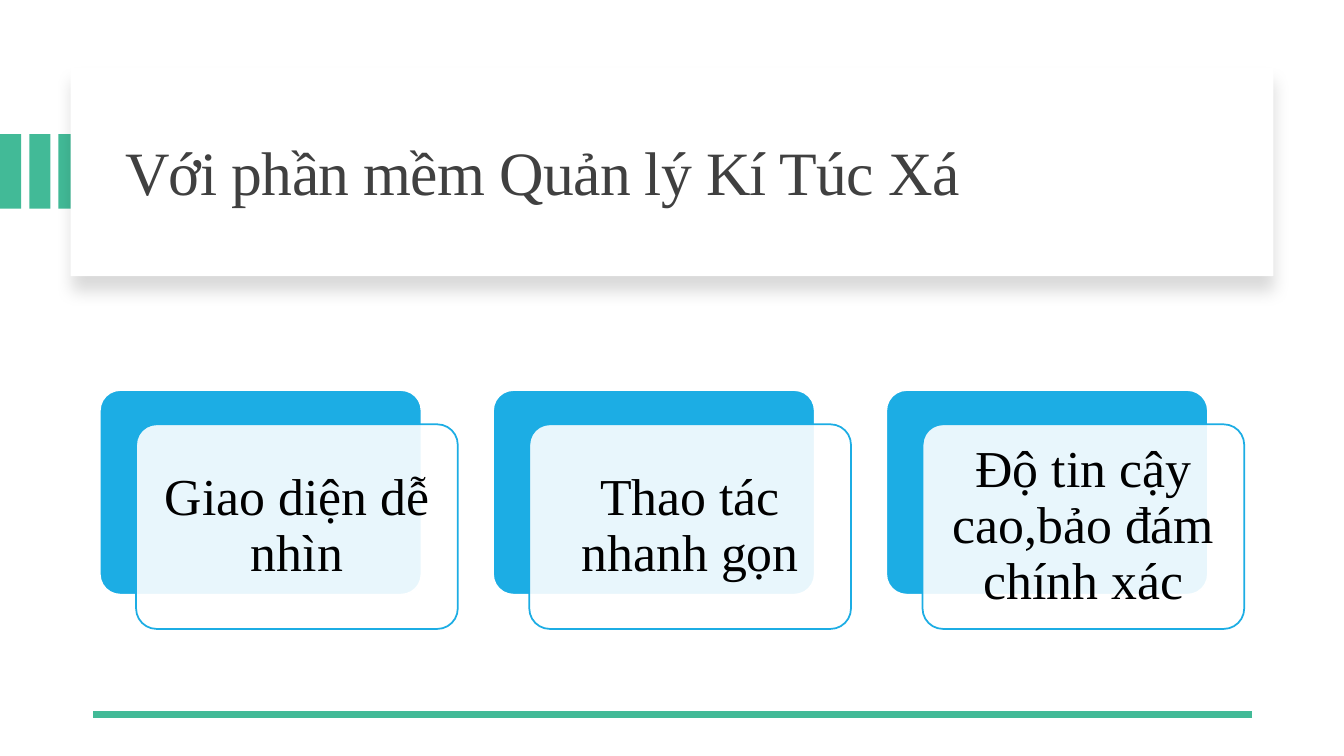
from dataclasses import dataclass

from lxml import etree
from pptx import Presentation
from pptx.dml.color import RGBColor
from pptx.enum.shapes import MSO_CONNECTOR, MSO_SHAPE
from pptx.enum.text import MSO_ANCHOR, PP_ALIGN
from pptx.oxml import parse_xml
from pptx.oxml.ns import nsdecls, qn
from pptx.shapes.autoshape import Shape
from pptx.slide import Slide
from pptx.text.text import TextFrame
from pptx.util import Inches, Pt

RECTANGLE = MSO_SHAPE.RECTANGLE
ROUNDED = MSO_SHAPE.ROUNDED_RECTANGLE
STRAIGHT = MSO_CONNECTOR.STRAIGHT
MIDDLE = MSO_ANCHOR.MIDDLE
LEFT, CENTER = PP_ALIGN.LEFT, PP_ALIGN.CENTER

WHITE = RGBColor(0xFF, 0xFF, 0xFF)
BLACK = RGBColor(0x00, 0x00, 0x00)
GREEN = RGBColor(0x42, 0xBA, 0x97)
BLUE = RGBColor(0x1C, 0xAD, 0xE4)
GRAY = RGBColor(0x40, 0x40, 0x40)

FONT = "Times New Roman"
TITLE = "Với phần mềm Quản lý Kí Túc Xá"
BENEFITS = ["Giao diện dễ nhìn", "Thao tác nhanh gọn", "Độ tin cậy cao,bảo đám chính xác"]
STRIPE_COUNT, STRIPE_PITCH = 3, 0.29
CARD_LEFT, CARD_TOP, CARD_PITCH = 0.99, 3.87, 3.9
CARD_WIDTH, CARD_HEIGHT = 3.19, 2.03
FRONT_SHIFT_X, FRONT_SHIFT_Y = 0.36, 0.34


@dataclass
class Box:
    left: float
    top: float
    width: float
    height: float

    def lengths(self) -> list[Inches]:
        return [Inches(value) for value in (self.left, self.top, self.width, self.height)]


def add_box(slide: Slide, preset: MSO_SHAPE, box: Box, fill: RGBColor,
            line: RGBColor | None = None) -> Shape:
    shape = slide.shapes.add_shape(preset, *box.lengths())
    shape.shadow.inherit = False
    shape.fill.solid()
    shape.fill.fore_color.rgb = fill
    if line is None:
        shape.line.fill.background()
    else:
        shape.line.color.rgb = line
        shape.line.width = Pt(1.25)
    if preset == ROUNDED:
        shape.adjustments[0] = 0.1
    return shape


def set_text(text_frame: TextFrame, text: str, size: int, color: RGBColor,
             alignment: PP_ALIGN) -> None:
    text_frame.text = text
    text_frame.word_wrap = True
    text_frame.vertical_anchor = MIDDLE
    paragraph = text_frame.paragraphs[0]
    paragraph.alignment = alignment
    paragraph.line_spacing = 0.9
    paragraph.space_before = Pt(0)
    font = paragraph.runs[0].font
    font.name = FONT
    font.size = Pt(size)
    font.color.rgb = color


def add_title(slide: Slide) -> None:
    panel = add_box(slide, RECTANGLE, Box(0.7, 0.67, 11.93, 2.07), WHITE)
    properties = panel._element.spPr
    properties.remove(properties.find(qn("a:effectLst")))
    properties.append(parse_xml(
        f'<a:effectLst {nsdecls("a")}>'
        f'<a:outerShdw blurRad="{Pt(11)}" dist="{Pt(10)}" dir="5400000" algn="t" rotWithShape="0">'
        '<a:srgbClr val="000000"><a:alpha val="15000"/></a:srgbClr>'
        '</a:outerShdw></a:effectLst>'))

    title = slide.shapes.title
    title.left, title.top, title.width, title.height = Box(1.14, 0.89, 11.13, 1.7).lengths()
    set_text(title.text_frame, TITLE, 44, GRAY, LEFT)
    title.text_frame.paragraphs[0].runs[0].font._element.set("spc", "-50")
    panel._element.addnext(title._element)


def add_footer_line(slide: Slide) -> None:
    line = slide.shapes.add_connector(
        STRAIGHT, Inches(12.42), Inches(7.09), Inches(0.92), Inches(7.09))
    line.line.color.rgb = GREEN
    line.line.width = Pt(4.5)
    etree.SubElement(line._element.spPr, qn("a:effectLst"))


def add_card(slide: Slide, left: float, text: str) -> None:
    back = Box(left, CARD_TOP, CARD_WIDTH, CARD_HEIGHT)
    front = Box(left + FRONT_SHIFT_X, CARD_TOP + FRONT_SHIFT_Y, CARD_WIDTH, CARD_HEIGHT)
    add_box(slide, ROUNDED, back, BLUE, WHITE)
    shape = add_box(slide, ROUNDED, front, WHITE, BLUE)
    fill_color = shape._element.spPr.find(qn("a:solidFill"))[0]
    etree.SubElement(fill_color, qn("a:alpha")).set("val", "90000")
    text_frame = shape.text_frame
    text_frame.margin_left = text_frame.margin_right = Inches(0.15)
    text_frame.margin_top = text_frame.margin_bottom = Inches(0.15)
    set_text(text_frame, text, 37, BLACK, CENTER)


def main() -> None:
    presentation = Presentation()
    presentation.slide_width = Inches(13.33)
    presentation.slide_height = Inches(7.5)
    slide = presentation.slides.add_slide(presentation.slide_layouts[5])

    for index in range(STRIPE_COUNT):
        add_box(slide, RECTANGLE, Box(index * STRIPE_PITCH, 1.33, 0.21, 0.74), GREEN)
    add_title(slide)
    add_footer_line(slide)
    for index, benefit in enumerate(BENEFITS):
        add_card(slide, CARD_LEFT + index * CARD_PITCH, benefit)

    presentation.save("out.pptx")


if __name__ == "__main__":
    main()
